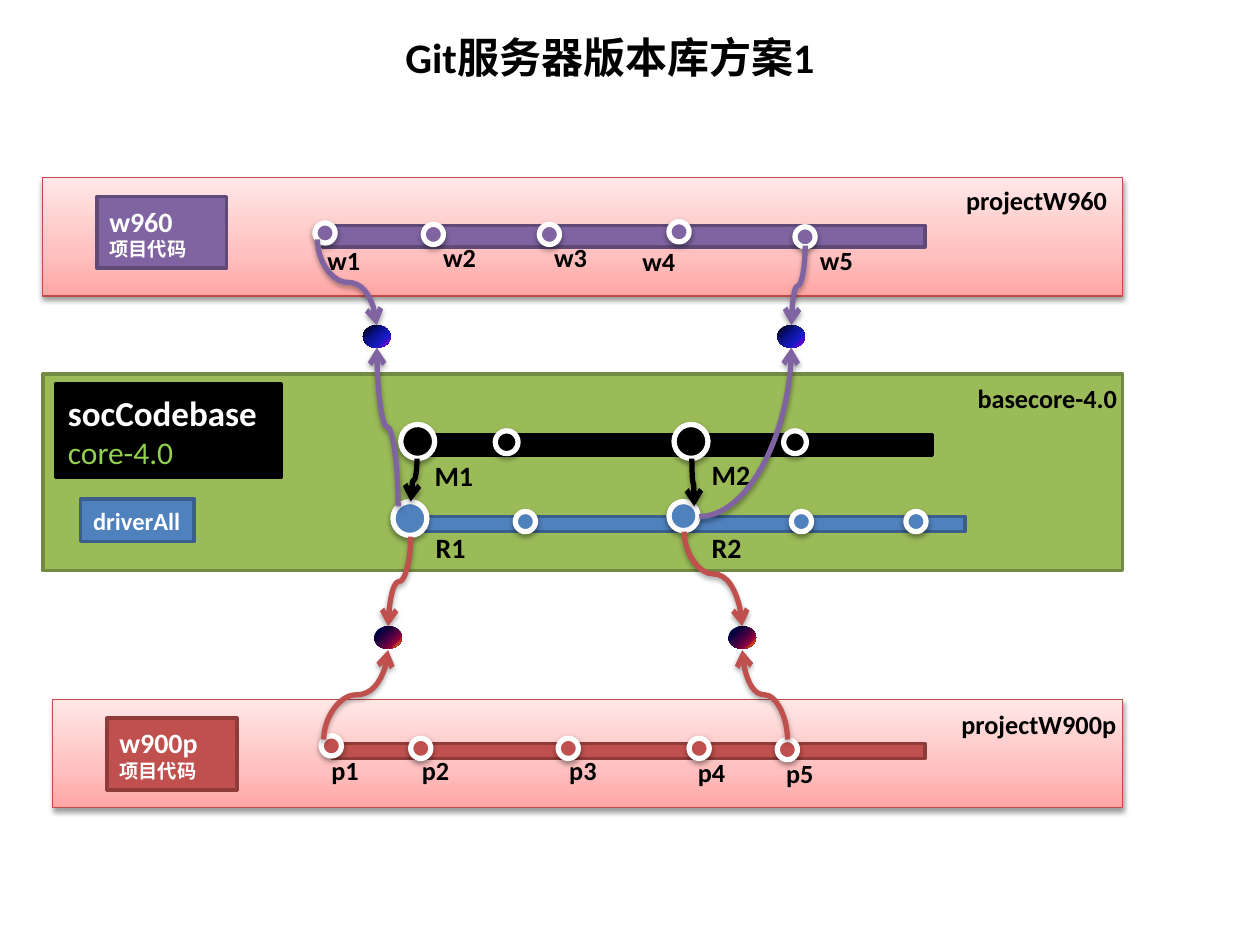
import dataclasses
import typing

import lxml.etree
import pptx
import pptx.dml.color
import pptx.enum.shapes
import pptx.enum.text
import pptx.oxml.ns
import pptx.util

Pt = pptx.util.Pt
RGB = pptx.dml.color.RGBColor
qn = pptx.oxml.ns.qn
RECT = pptx.enum.shapes.MSO_SHAPE.RECTANGLE
OVAL = pptx.enum.shapes.MSO_SHAPE.OVAL

BLACK, WHITE = RGB(0, 0, 0), RGB(255, 255, 255)
GREEN, DARK_GREEN, LIME = RGB(0x9B, 0xBB, 0x59), RGB(0x73, 0x8A, 0x42), RGB(0x92, 0xD0, 0x50)
BLUE, DARK_BLUE = RGB(0x4F, 0x81, 0xBD), RGB(0x3A, 0x5F, 0x8C)
RED, DARK_RED, ROSE = RGB(0xC0, 0x50, 0x4D), RGB(0x8E, 0x3B, 0x39), RGB(0xBF, 0x4C, 0x48)
PURPLE, DARK_PURPLE = RGB(0x80, 0x64, 0xA2), RGB(0x5F, 0x4A, 0x78)


class Gradient(typing.NamedTuple):
    angle: float
    stops: tuple[tuple[int, str], ...]


PINK = Gradient(90, ((0, "FFA6A5"), (35, "FFC0BF"), (100, "FFE7E7")))
NIGHT = Gradient(315, ((0, "000000"), (40, "0A128C"), (70, "181CC7"), (88, "7005D4"), (100, "8C3D91")))
SUNSET = Gradient(315, ((0, "000040"), (20, "000040"), (50, "400040"), (75, "8F0040"),
                        (90, "F27300"), (100, "FFBF00")))


class Box(typing.NamedTuple):
    left: float
    top: float
    width: float
    height: float


class Run(typing.NamedTuple):
    text: str
    size: float
    color: RGB = WHITE
    bold: bool = True


@dataclasses.dataclass
class Figure:
    box: Box
    fill: RGB | Gradient
    outline: RGB | None = None
    weight: float = 2
    shadow: bool = False
    kind: int = RECT
    runs: tuple[Run, ...] = ()


@dataclasses.dataclass
class Link:
    start: tuple[float, float]
    end: tuple[float, float]
    color: RGB
    bend: int = 50000
    quarter: bool = False


PANELS = [
    Figure(Box(24.5, 213.8, 617, 112.3), GREEN, DARK_GREEN),
    Figure(Box(30.2, 399.6, 611.3, 61.9), PINK, ROSE, 0.75, True),
    Figure(Box(24.5, 101.5, 617, 67.7), PINK, ROSE, 0.75, True),
]
BRANCHES = [
    Figure(Box(234.7, 248.4, 298.1, 11.5), BLACK, BLACK),
    Figure(Box(241.9, 295.2, 309.6, 8.6), BLUE, DARK_BLUE),
    Figure(Box(189.4, 424.8, 339.1, 8.6), RED, DARK_RED),
    Figure(Box(184.3, 128.9, 344.2, 12.2), PURPLE, DARK_PURPLE),
]
COMMITS = {
    BLACK: [(385.2, 242.6, 19.4), (229, 242.6, 19.4), (447.8, 246.2, 13), (283, 246.2, 13)],
    BLUE: [(224.6, 286.6, 19.4), (382.3, 286.6, 16.6), (517.7, 292.3, 11.5),
           (294.5, 292.3, 11.5), (452.2, 292.3, 11.5)],
    RED: [(183.6, 420.5, 11.5), (234.7, 421.9, 11.5), (319, 421.9, 11.5),
          (393.8, 421.9, 11.5), (444.2, 422.6, 11.5)],
    PURPLE: [(180, 127.4, 11.5), (241.9, 128.2, 11.5), (308.2, 128.2, 11.5),
             (382.3, 126.7, 11.5), (454.3, 129.6, 11.5)],
}
REPOSITORIES = [
    Figure(Box(31.7, 219.6, 128.9, 53.3), BLACK, BLACK,
           runs=(Run("socCodebase", 20), Run("core-4.0", 18, LIME, False))),
    Figure(Box(46.1, 285.1, 64.8, 24.5), BLUE, DARK_BLUE, runs=(Run("driverAll", 14),)),
    Figure(Box(61.2, 410.4, 74.2, 41), RED, DARK_RED, runs=(Run("w900p", 16), Run("项目代码", 11))),
    Figure(Box(55.4, 112.3, 74.2, 41), PURPLE, DARK_PURPLE, runs=(Run("w960", 16), Run("项目代码", 11))),
]
COMMIT_LABELS = [
    ("M", 16, 36.7, 26.6, [(241.2, 258.5), (399.6, 257.8)]),
    ("R", 16, 31.7, 26.6, [(241.9, 299.5), (399.6, 299.5)]),
    ("p", 15, 30.2, 25.2, [(182.2, 427.7), (234, 427.7), (318.2, 427.7), (391.7, 428.4), (442.1, 429.1)]),
    ("w", 15, 33.1, 25.2, [(180, 136.1), (246.2, 134.6), (309.6, 134.6), (360, 136.8), (461.5, 136.1)]),
]
PANEL_LABELS = [
    ("projectW960", Box(545, 101.5, 95.8, 25.2)),
    ("basecore-4.0", Box(551.5, 214.6, 94.3, 25.2)),
    ("projectW900p", Box(542.2, 401, 104.4, 25.2)),
]
LINKS = [
    Link((238.3, 262.1), (234.7, 286.6), BLACK),
    Link((395.3, 262.1), (396.7, 289.4), BLACK),
    Link((234.7, 306.7), (221.8, 357.8), RED),
    Link((185, 422.6), (221.8, 371.5), RED),
    Link((391, 303.8), (424.1, 357.8), RED, bend=44800),
    Link((450, 422.6), (424.1, 371.5), RED),
    Link((181.4, 136.8), (215.3, 185.8), PURPLE),
    Link((227.5, 289.4), (215.3, 198.7), PURPLE),
    Link((460.1, 140.4), (452.2, 185.8), PURPLE),
    Link((399.6, 295.2), (452.2, 198.7), PURPLE, quarter=True),
]
MERGES = [(NIGHT, 207.4, 185.8), (NIGHT, 444.2, 185.8), (SUNSET, 213.8, 357.8), (SUNSET, 416.2, 357.8)]


def apply_formats(target: typing.Any, formats: dict[str, typing.Any]) -> None:
    for name, value in formats.items():
        setattr(target, name, value)


def add_node(parent: typing.Any, tag: str, **attributes: str) -> typing.Any:
    return lxml.etree.SubElement(parent, qn(tag), attributes)


def add_shadow(effects: typing.Any, opacity: int, distance: float) -> None:
    outer = add_node(effects, "a:outerShdw", blurRad=str(Pt(3.1)), dist=str(Pt(distance)),
                     dir="5400000", rotWithShape="0")
    color = add_node(outer, "a:srgbClr", val="000000")
    add_node(color, "a:alpha", val=str(opacity * 1000))


def paint(shape: typing.Any, fill: RGB | Gradient) -> None:
    if isinstance(fill, Gradient):
        shape.fill.gradient()
        shape.fill.gradient_angle = fill.angle
        stops = shape._element.spPr.find(".//" + qn("a:gsLst"))
        for stop in list(stops):
            stops.remove(stop)
        for position, color in fill.stops:
            add_node(add_node(stops, "a:gs", pos=str(position * 1000)), "a:srgbClr", val=color)
    else:
        shape.fill.solid()
        shape.fill.fore_color.rgb = fill


def write(frame: typing.Any, runs: typing.Sequence[Run], wrap: bool) -> None:
    frame.word_wrap = wrap
    for index, item in enumerate(runs):
        paragraph = frame.add_paragraph() if index else frame.paragraphs[0]
        paragraph.alignment = pptx.enum.text.PP_ALIGN.LEFT
        run = paragraph.add_run()
        run.text = item.text
        apply_formats(run.font, {"name": "Calibri", "size": Pt(item.size), "bold": item.bold})
        run.font.color.rgb = item.color


def draw_figure(slide: typing.Any, figure: Figure) -> None:
    shape = slide.shapes.add_shape(figure.kind, *map(Pt, figure.box))
    paint(shape, figure.fill)
    if figure.outline is None:
        shape.line.fill.background()
    else:
        shape.line.color.rgb = figure.outline
        shape.line.width = Pt(figure.weight)
    shape.shadow.inherit = False
    if figure.shadow:
        add_shadow(shape._element.spPr.find(qn("a:effectLst")), 38, 1.6)
    if figure.runs:
        write(shape.text_frame, figure.runs, wrap=len(figure.runs) > 1)


def draw_label(slide: typing.Any, text: str, size: float, box: Box, wrap: bool = False) -> None:
    label = slide.shapes.add_textbox(*map(Pt, box))
    write(label.text_frame, [Run(text, size, BLACK)], wrap)


def draw_link(slide: typing.Any, link: Link) -> None:
    (x1, y1), (x2, y2) = link.start, link.end
    dx, dy = x2 - x1, y2 - y1
    ends = (x1, y1, x2, y2)
    if not link.quarter:
        cx, cy = (x1 + x2) / 2, (y1 + y2) / 2
        across = abs(dy) / 2 * (1 if dx > 0 else -1)
        down = abs(dx) / 2 * (1 if dy < 0 else -1)
        ends = (cx + across, cy + down, cx - across, cy - down)
    connector = slide.shapes.add_connector(pptx.enum.shapes.MSO_CONNECTOR.CURVE, *map(Pt, ends))
    properties = connector._element.spPr
    geometry = properties.find(qn("a:prstGeom"))
    if link.quarter:
        geometry.set("prst", "curvedConnector2")
    else:
        turn = 90 if dx * dy < 0 else 270
        properties.find(qn("a:xfrm")).set("rot", str(turn * 60000))
        add_node(geometry.find(qn("a:avLst")), "a:gd", name="adj1", fmla=f"val {link.bend}")
    connector.line.color.rgb = link.color
    connector.line.width = Pt(3)
    add_node(properties.find(qn("a:ln")), "a:tailEnd", type="arrow")
    add_shadow(add_node(properties, "a:effectLst"), 35, 1.8)


def main() -> None:
    deck = pptx.Presentation()
    apply_formats(deck, {"slide_width": Pt(720), "slide_height": Pt(540)})
    slide = deck.slides.add_slide(deck.slide_layouts[6])
    commits = [Figure(Box(left, top, size, size), color, WHITE, 3, True, OVAL)
               for color, places in COMMITS.items() for left, top, size in places]
    merges = [Figure(Box(left, top, 15.8, 13), fill, kind=OVAL) for fill, left, top in MERGES]
    for figure in PANELS + BRANCHES + commits + REPOSITORIES + merges:
        draw_figure(slide, figure)
    draw_label(slide, "Git服务器版本库方案1", 24, Box(224.6, 14.4, 251.3, 36), wrap=True)
    for prefix, size, width, height, places in COMMIT_LABELS:
        for number, (left, top) in enumerate(places, 1):
            draw_label(slide, f"{prefix}{number}", size, Box(left, top, width, height))
    for text, box in PANEL_LABELS:
        draw_label(slide, text, 15, box)
    for link in LINKS:
        draw_link(slide, link)
    deck.save("out.pptx")


if __name__ == "__main__":
    main()
